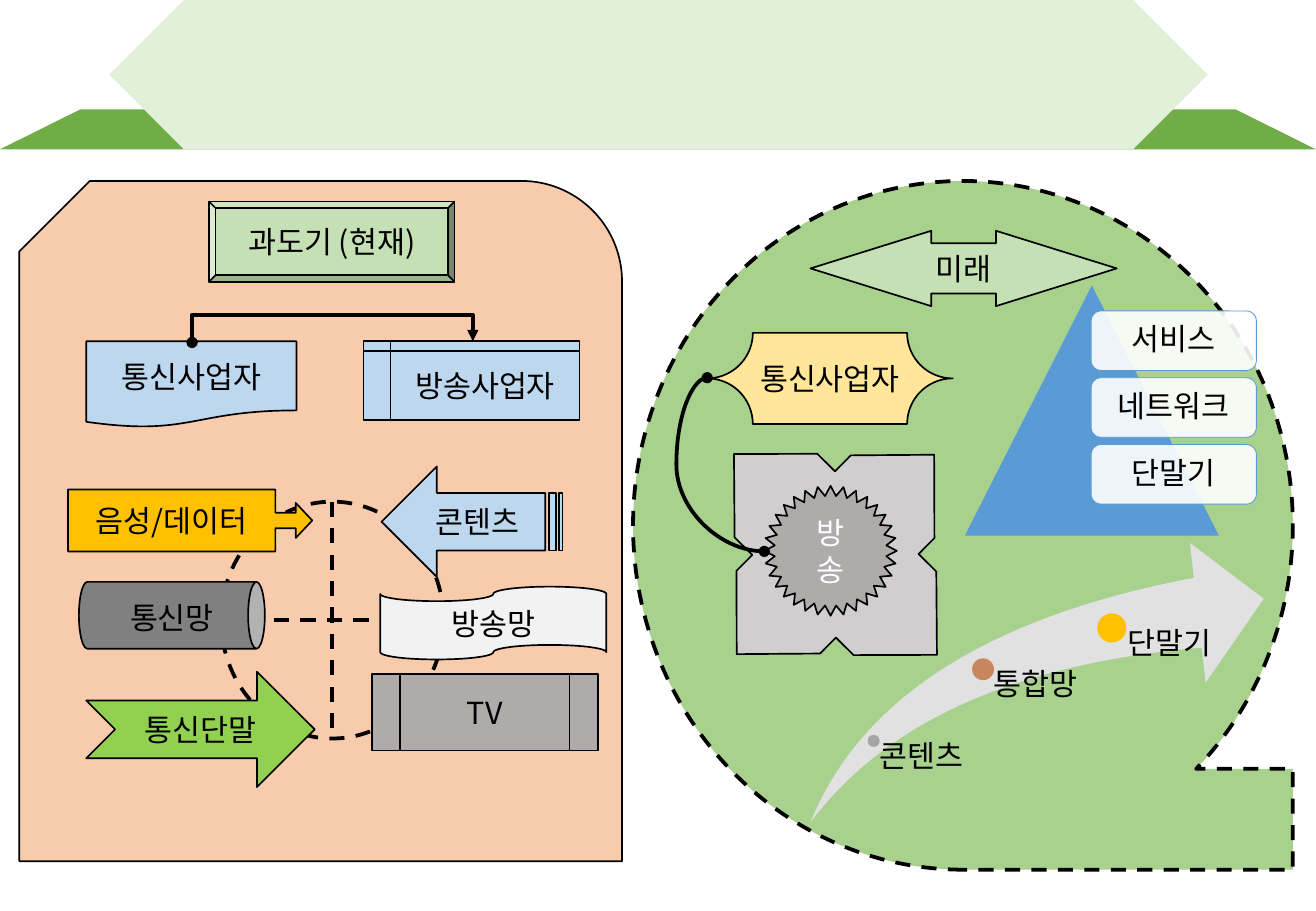
from lxml import etree
from pptx import Presentation, util as u
from pptx.dml.color import RGBColor
from pptx.enum import dml, shapes, text
from pptx.oxml.ns import qn

PX = 9144
THEME = {
    "font": "Noto Sans CJK KR", "size": 18,
    "thin": 0.5, "outline": 1, "bold_line": 2.25,
    "ink": "000000", "white": "FFFFFF",
    "green": "70AD47", "pale_green": "E2F0D9", "soft_green": "C5E0B4",
    "field_green": "A9D18E", "lime": "92D050", "peach": "F8CBAD",
    "pale_blue": "BDD7EE", "blue": "5B9BD5", "amber": "FFC000",
    "cream": "FFE699", "grey": "AFABAB", "dark_grey": "808080",
    "light_grey": "D0CECE", "mist": "F2F2F2", "swoosh": "E1E1E1",
    "dot_grey": "A5A5A5", "copper": "C9855C",
}
KIND = shapes.MSO_SHAPE

deck = Presentation()
deck.slide_width, deck.slide_height = 1083 * PX, 750 * PX
page = deck.slides.add_slide(deck.slide_layouts[6])


def write(box, label, color="ink", **layout):
    frame = box.text_frame
    para = frame.paragraphs[0]
    span = para.add_run()
    span.text = label
    settings = {"word_wrap": True, "vertical_anchor": text.MSO_ANCHOR.MIDDLE, **layout}
    para.alignment = settings.pop("alignment", text.PP_ALIGN.CENTER)
    para.line_spacing = settings.pop("line_spacing", 1.0)
    for name, value in settings.items():
        setattr(frame, name, value)
    for name, value in {"name": THEME["font"], "size": u.Pt(THEME["size"])}.items():
        setattr(span.font, name, value)
    span.font.color.rgb = RGBColor.from_string(THEME[color])
    etree.SubElement(span.font._element, qn("a:ea")).set("typeface", THEME["font"])


def draw(kind, place, fill=None, line="ink", weight="outline", dash=None,
         adjust=(), rotation=0, flips=()):
    shape = page.shapes.add_shape(kind, *[n * PX for n in place])
    shape.shadow.inherit = False
    shape.rotation = rotation
    for index, value in enumerate(adjust):
        shape.adjustments[index] = value
    for flip in flips:
        shape._element.spPr.xfrm.set(flip, "1")
    if fill:
        shape.fill.solid()
        shape.fill.fore_color.rgb = RGBColor.from_string(THEME[fill])
    else:
        shape.fill.background()
    if line:
        shape.line.color.rgb = RGBColor.from_string(THEME[line])
        shape.line.width = u.Pt(THEME[weight])
        shape.line.dash_style = dash
    else:
        shape.line.fill.background()
    return shape


dashed = {"weight": "bold_line", "dash": dml.MSO_LINE.DASH}

draw(KIND.TRAPEZOID, (0, 90, 1083, 33), "green", None, adjust=[2.01])
draw(KIND.HEXAGON, (90, 0, 904, 123), "pale_green", None, adjust=[0.5])

draw(KIND.SNIP_ROUND_RECTANGLE, (16, 149, 496, 560), "peach",
     adjust=[0.167, 0.117], flips=["flipH"])
draw(KIND.FLOWCHART_OR, (182, 413, 183, 195), **dashed)
draw(KIND.CAN, (114, 430, 55, 153), "dark_grey", rotation=270, flips=["flipH", "flipV"])

present = [
    (KIND.BEVEL, (172, 166, 202, 66), "soft_green", "과도기 (현재)", [0.08], []),
    (KIND.FLOWCHART_DOCUMENT, (71, 281, 173, 71), "pale_blue", "통신사업자", [], []),
    (KIND.FLOWCHART_INTERNAL_STORAGE, (299, 281, 178, 65), "pale_blue", "방송사업자", [], []),
    (KIND.RIGHT_ARROW_CALLOUT, (56, 403, 201, 51), "amber", "음성/데이터",
     [0.25, 0.283, 0.266, 0.849], []),
    (KIND.FLOWCHART_PREDEFINED_PROCESS, (306, 555, 186, 63), "grey", "TV", [], []),
    (KIND.NOTCHED_RIGHT_ARROW, (71, 553, 188, 95), "lime", "통신단말", [], []),
    (KIND.FLOWCHART_PUNCHED_TAPE, (313, 483, 186, 60), "mist", "방송망", [], []),
    (KIND.STRIPED_RIGHT_ARROW, (314, 384, 149, 91), "pale_blue", "콘텐츠",
     [0.52, 0.5], ["flipH"]),
]
for kind, place, fill, label, adjust, flips in present:
    write(draw(kind, place, fill, adjust=adjust, flips=flips), label)

network_label = page.shapes.add_textbox(*[n * PX for n in (67, 488, 149, 37)])
write(network_label, "통신망", vertical_anchor=text.MSO_ANCHOR.TOP,
      auto_size=text.MSO_AUTO_SIZE.SHAPE_TO_FIT_TEXT)

draw(KIND.FLOWCHART_SEQUENTIAL_ACCESS_STORAGE, (521, 149, 543, 567), "field_green", **dashed)
draw(KIND.SWOOSH_ARROW, (667, 447, 373, 230), "swoosh", None, adjust=[0.25, 0.25])
draw(KIND.QUAD_ARROW, (570, 341, 235, 231), "light_grey",
     adjust=[0.419, 0.21, 0.211], rotation=44.7)

future = [
    (KIND.LEFT_RIGHT_ARROW, (667, 190, 252, 62), "soft_green", "미래", "ink", [0.668, 1.602]),
    (KIND.PLAQUE, (582, 274, 202, 75), "cream", "통신사업자", "ink", [0.5]),
    (KIND.STAR_32_POINT, (629, 400, 109, 107), "grey", "방송", "white", [0.423]),
]
for kind, place, fill, label, color, adjust in future:
    write(draw(kind, place, fill, adjust=adjust), label, color)

milestones = [
    (719, 610, 10, "dot_grey", "콘텐츠", 87, 5),
    (809, 551, 18, "copper", "통합망", 90, 9),
    (915, 517, 24, "amber", "단말기", 90, 13),
]
for x, y, size, fill, label, width, inset in milestones:
    draw(KIND.OVAL, (x - size // 2, y - size // 2, size, size), fill, None)
    box = page.shapes.add_textbox(x * PX, y * PX, width * PX, (677 - y) * PX)
    write(box, label, alignment=text.PP_ALIGN.LEFT, line_spacing=0.9,
          vertical_anchor=text.MSO_ANCHOR.TOP, margin_left=inset * PX,
          margin_top=0, margin_right=0, margin_bottom=0)

draw(KIND.ISOSCELES_TRIANGLE, (794, 235, 209, 206), "blue", None)
for row, label in enumerate(["서비스", "네트워크", "단말기"]):
    card = draw(KIND.ROUNDED_RECTANGLE, (898, 256 + 55 * row, 136, 49),
                "white", "blue", "thin")
    tint = card._element.spPr.find(qn("a:solidFill"))[0]
    etree.SubElement(tint, qn("a:alpha")).set("val", "90000")
    write(card, label, line_spacing=0.9)

links = [
    (shapes.MSO_CONNECTOR.ELBOW, (274, 397, 273, 166), 90, 23, "triangle"),
    (shapes.MSO_CONNECTOR.CURVE, (582, 311, 629, 454), 0, -0.54, "oval"),
]
for kind, ends, rotation, bend, tail in links:
    link = page.shapes.add_connector(kind, *[n * PX for n in ends])
    link.line.color.rgb = RGBColor.from_string(THEME["ink"])
    link.line.width = u.Pt(THEME["bold_line"])
    properties = link._element.spPr
    properties.xfrm.set("rot", str(rotation * 60000))
    guide = etree.SubElement(properties.find(qn("a:prstGeom")).find(qn("a:avLst")), qn("a:gd"))
    guide.set("name", "adj1")
    guide.set("fmla", f"val {round(bend * 100000)}")
    stroke = properties.find(qn("a:ln"))
    etree.SubElement(stroke, qn("a:headEnd")).set("type", "oval")
    etree.SubElement(stroke, qn("a:tailEnd")).set("type", tail)
    etree.SubElement(properties, qn("a:effectLst"))

deck.save("out.pptx")
